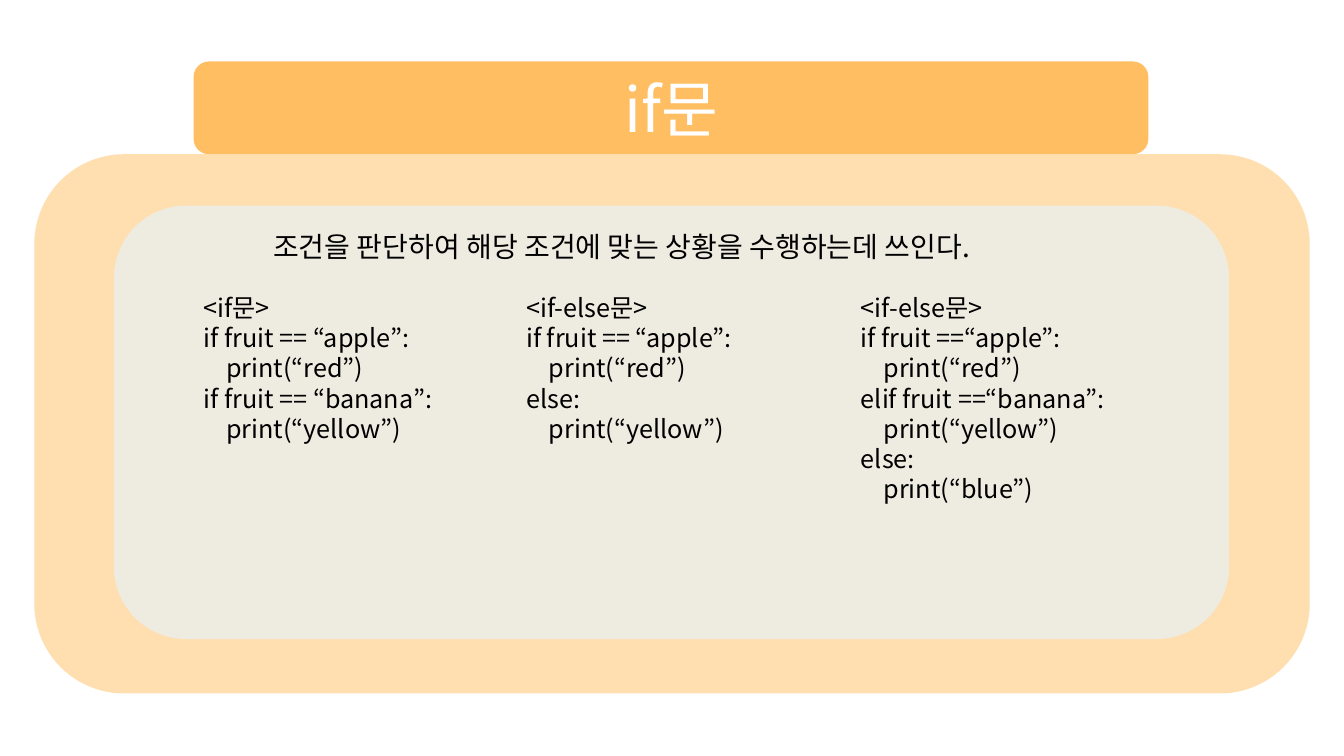
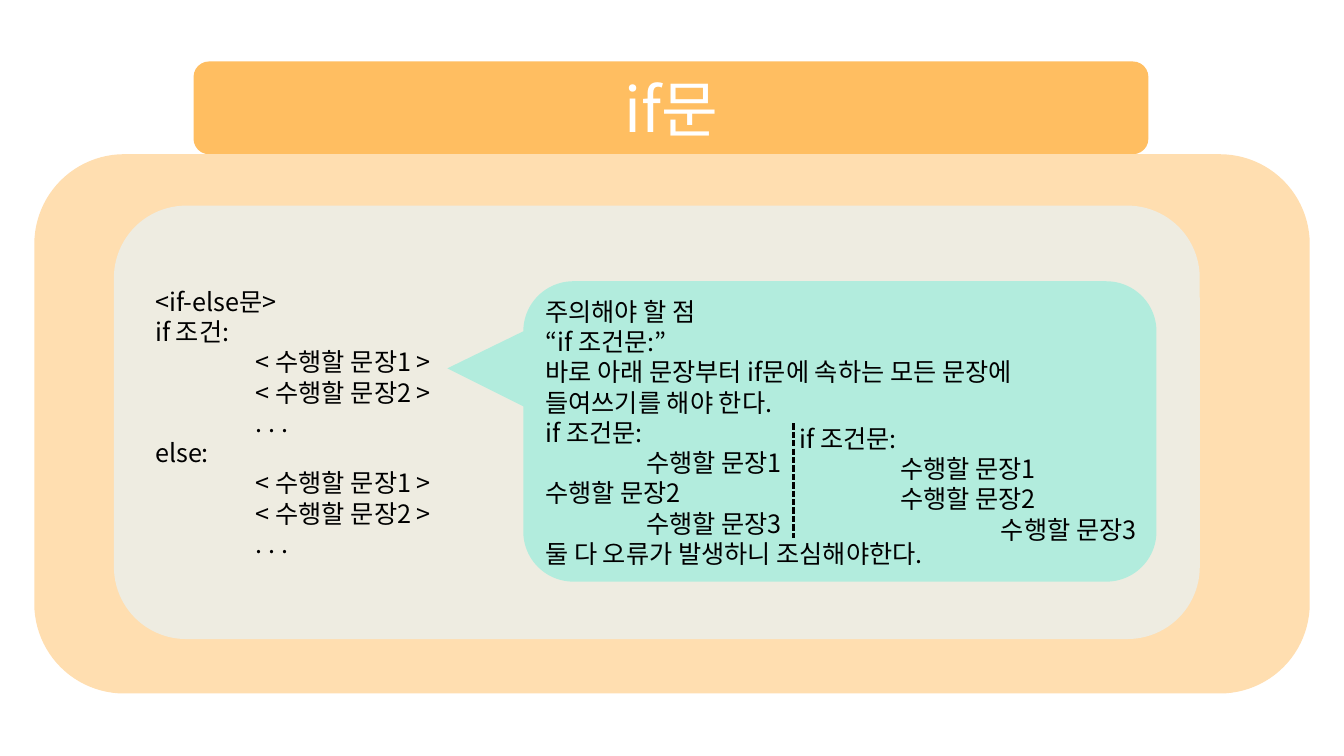
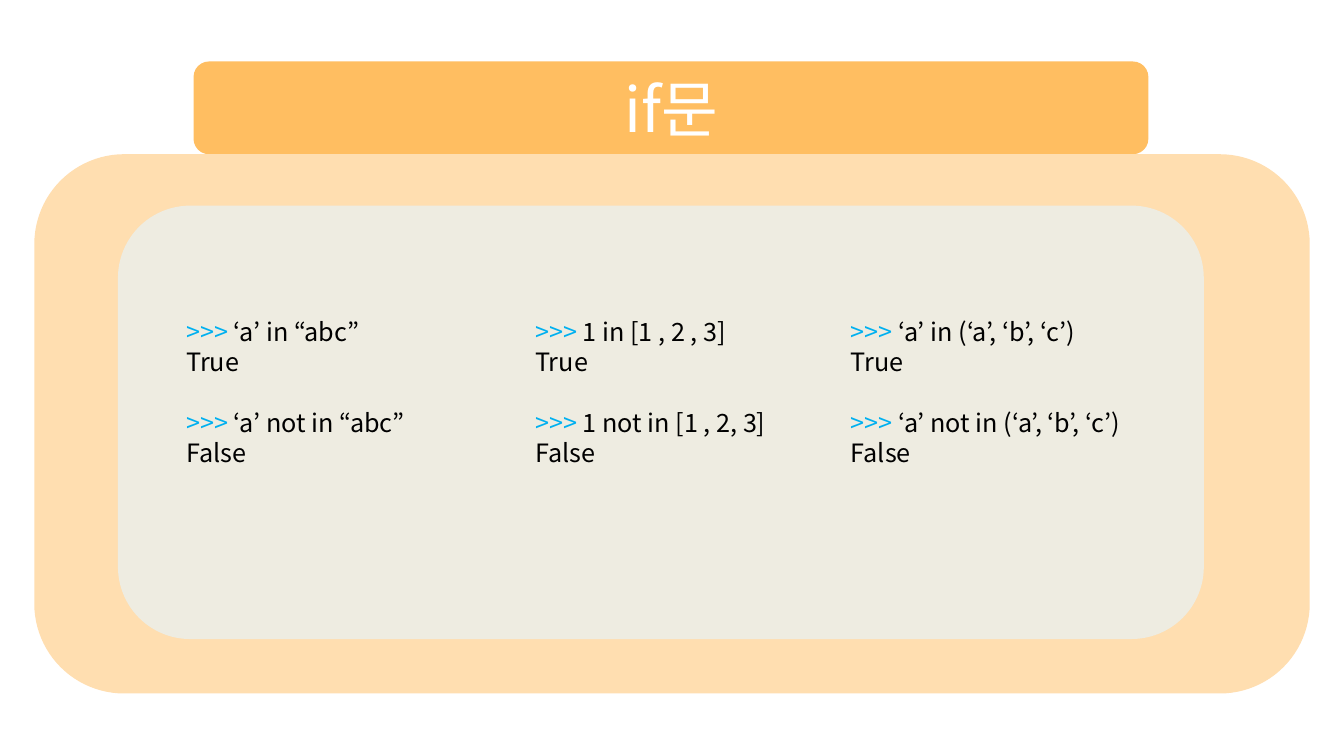
from lxml import etree
from pptx import Presentation
from pptx.dml.color import RGBColor
from pptx.enum.dml import MSO_LINE
from pptx.enum.shapes import MSO_CONNECTOR, MSO_SHAPE
from pptx.enum.text import MSO_ANCHOR, MSO_AUTO_SIZE, PP_ALIGN
from pptx.oxml.ns import qn
from pptx.util import Inches, Pt

FONT = "Noto Sans CJK KR"
COLORS = {
    "band": "FFBE61",
    "frame": "FFDEB0",
    "panel": "EEECE1",
    "callout": "B2ECDD",
    "title": "FFFFFF",
    "text": "000000",
    "prompt": "00B0F0",
}
LINE_PITCH = 1.2
PROMPT = ">>>"


def style_paragraph(paragraph, size, color):
    """Apply the deck font to Latin and Korean letters, with a fixed line pitch."""
    paragraph.line_spacing = Pt(size * LINE_PITCH)
    for run in paragraph.runs:
        run.font.size = Pt(size)
        run.font.name = FONT
        is_prompt = run.text == PROMPT
        run.font.color.rgb = RGBColor.from_string(COLORS["prompt" if is_prompt else color])
        etree.SubElement(run.font._element, qn("a:ea")).set("typeface", FONT)


def add_lines(slide, left, top, width, height, lines, size=18):
    """Add a text box; each leading tab of a line becomes one inch of indent."""
    box = slide.shapes.add_textbox(Inches(left), Inches(top), Inches(width), Inches(height))
    frame = box.text_frame
    frame.word_wrap = True
    for index, line in enumerate(lines):
        paragraph = frame.add_paragraph() if index else frame.paragraphs[0]
        words = line.lstrip("\t")
        indent = len(line) - len(words)
        if indent:
            paragraph._p.get_or_add_pPr().set("marL", str(Inches(indent)))
        if words.startswith(PROMPT):
            paragraph.text = PROMPT
            paragraph.add_run().text = words[len(PROMPT):]
        else:
            paragraph.text = words
        style_paragraph(paragraph, size, "text")
    return frame


prs = Presentation()
prs.slide_width, prs.slide_height = Inches(13.33), Inches(7.5)

# Shared title band and frame, with an inner panel that varies by slide
title_area = (1.92, 0.61, 9.47, 0.92)
slides = []
for panel_left, panel_width in [(1.13, 11.06), (1.13, 10.77), (1.17, 10.77)]:
    slide = prs.slides.add_slide(prs.slide_layouts[5])
    for color, area in [
        ("band", title_area),
        ("frame", (0.34, 1.53, 12.65, 5.35)),
        ("panel", (panel_left, 2.04, panel_width, 4.3)),
    ]:
        block = slide.shapes.add_shape(MSO_SHAPE.ROUNDED_RECTANGLE, *map(Inches, area))
        block.shadow.inherit = False
        block.fill.solid()
        block.fill.fore_color.rgb = RGBColor.from_string(COLORS[color])
        block.line.fill.background()

    title = slide.shapes.title
    title.left, title.top, title.width, title.height = map(Inches, title_area)
    title.text_frame.text = "if문"
    title.text_frame.auto_size = MSO_AUTO_SIZE.NONE
    title.text_frame.vertical_anchor = MSO_ANCHOR.MIDDLE
    title.text_frame.paragraphs[0].alignment = PP_ALIGN.CENTER
    style_paragraph(title.text_frame.paragraphs[0], 44, "title")
    slide.shapes._spTree.append(title._element)  # bring in front of the band
    slides.append(slide)

forms_slide, indent_slide, membership_slide = slides

# Slide 1: three forms of the if statement
add_lines(forms_slide, 2.61, 2.23, 8.09, 0.44,
          ["조건을 판단하여 해당 조건에 맞는 상황을 수행하는데 쓰인다."], size=20)
if_forms = [
    (1.92, 1.62, ["<if문>", "if fruit == “apple”:", "    print(“red”)",
                  "if fruit == “banana”:", "    print(“yellow”)"]),
    (5.12, 1.62, ["<if-else문>", "if fruit == “apple”:", "    print(“red”)",
                  "else:", "    print(“yellow”)"]),
    (8.44, 2.22, ["<if-else문>", "if fruit ==“apple”:", "    print(“red”)",
                  "elif fruit ==“banana”:", "    print(“yellow”)",
                  "else:", "    print(“blue”)"]),
]
for left, height, code in if_forms:
    add_lines(forms_slide, left, 2.85, 3.32, height, code)

# Slide 2: syntax and a warning about indentation
branch = ["\t< 수행할 문장1 >", "\t< 수행할 문장2 >", "\t. . ."]
add_lines(indent_slide, 1.44, 2.79, 3.32, 2.83,
          ["<if-else문>", "if 조건:", *branch, "else:", *branch])

warning = indent_slide.shapes.add_shape(
    MSO_SHAPE.ROUNDED_RECTANGULAR_CALLOUT,
    Inches(5.19), Inches(2.79), Inches(6.28), Inches(2.98))
warning.adjustments[0] = -0.62
warning.adjustments[1] = -0.21
warning.shadow.inherit = False
warning.fill.solid()
warning.fill.fore_color.rgb = RGBColor.from_string(COLORS["callout"])
warning.line.fill.background()

add_lines(indent_slide, 5.31, 2.89, 6.15, 2.83, [
    "주의해야 할 점",
    "“if 조건문:”",
    "바로 아래 문장부터 if문에 속하는 모든 문장에",
    "들여쓰기를 해야 한다.",
    "if 조건문:",
    "\t수행할 문장1",
    "수행할 문장2",
    "\t수행할 문장3",
    "둘 다 오류가 발생하니 조심해야한다.",
])
add_lines(indent_slide, 7.83, 4.15, 4.07, 1.62,
          ["if 조건문:", "\t수행할 문장1", "\t수행할 문장2", "\t\t수행할 문장3"])

divider = indent_slide.shapes.add_connector(
    MSO_CONNECTOR.STRAIGHT, Inches(7.87), Inches(4.2), Inches(7.87), Inches(5.34))
divider.line.color.rgb = RGBColor.from_string(COLORS["text"])
divider.line.width = Pt(1.5)
divider.line.dash_style = MSO_LINE.SQUARE_DOT
etree.SubElement(divider._element.spPr, qn("a:effectLst"))

# Slide 3: membership tests on a string, a list and a tuple
membership_tests = [
    (1.75, "‘a’ in “abc”", "‘a’ not in “abc”"),
    (5.21, "1 in [1 , 2 , 3]", "1 not in [1 , 2, 3]"),
    (8.34, "‘a’ in (‘a’, ‘b’, ‘c’)", "‘a’ not in (‘a’, ‘b’, ‘c’)"),
]
for left, inside, outside in membership_tests:
    session = add_lines(membership_slide, left, 3.09, 4.91, 1.92, [
        f"{PROMPT} {inside}", "True", f"{PROMPT} {outside}", "False"])
    session.paragraphs[2].space_before = Pt(18 * LINE_PITCH)

prs.save("out.pptx")
